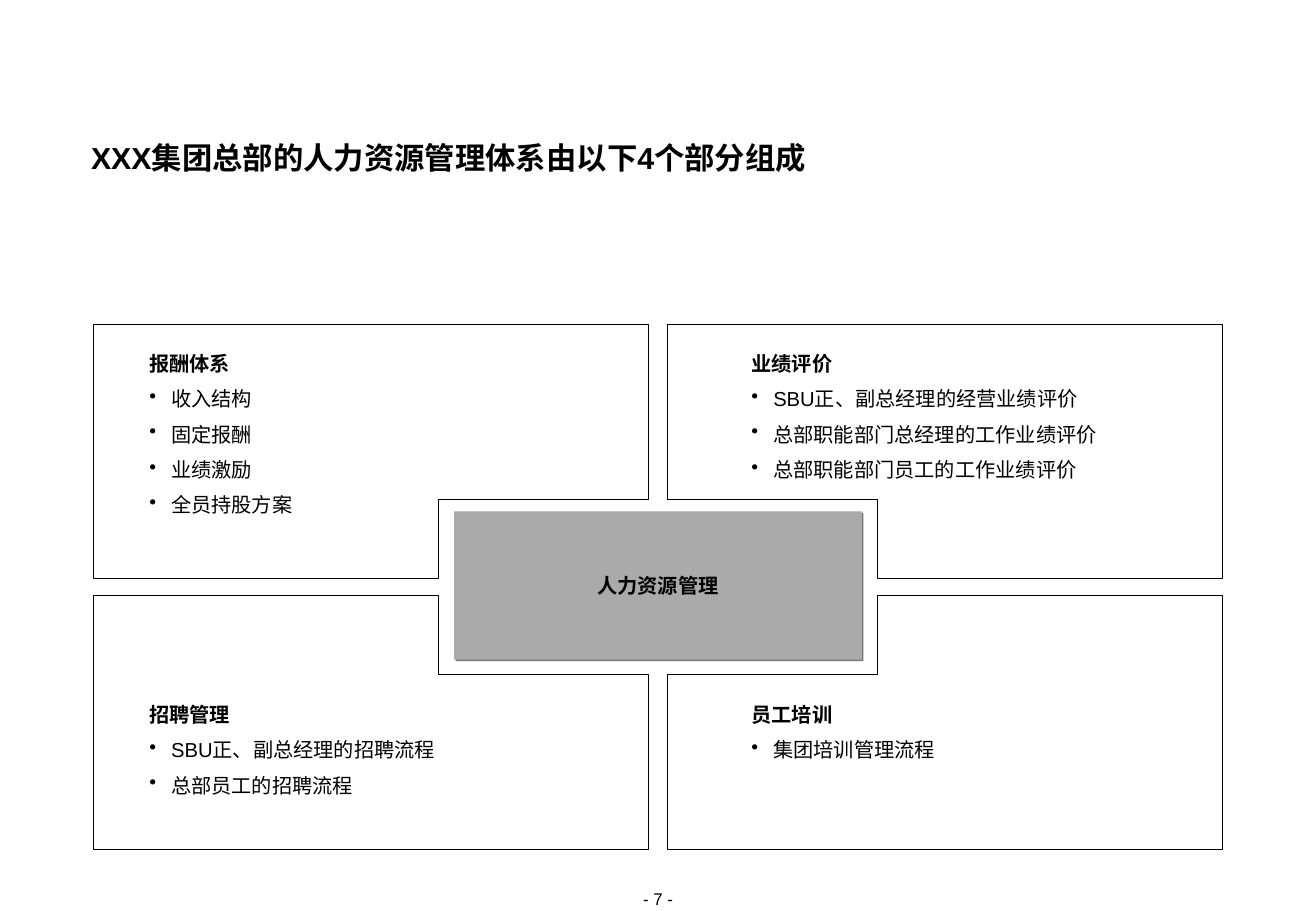
from lxml import etree
from pptx import Presentation
from pptx import util as u
from pptx.dml.color import RGBColor
from pptx.enum import shapes, text
from pptx.oxml.ns import qn

TITLE = "XXX集团总部的人力资源管理体系由以下4个部分组成"
HUB = "人力资源管理"
PAGE_NUMBER = "- 7 -"
# (horizontal side, vertical side, heading, items); -1 is left or top
QUADRANTS = [
    (1, 1, "员工培训", ["集团培训管理流程"]),
    (1, -1, "业绩评价", ["SBU正、副总经理的经营业绩评价",
                     "总部职能部门总经理的工作业绩评价",
                     "总部职能部门员工的工作业绩评价"]),
    (-1, 1, "招聘管理", ["SBU正、副总经理的招聘流程", "总部员工的招聘流程"]),
    (-1, -1, "报酬体系", ["收入结构", "固定报酬", "业绩激励", "全员持股方案"]),
]

BLACK = RGBColor(0x00, 0x00, 0x00)
GREY = RGBColor(0xAA, 0xAA, 0xAA)
SHADOW = RGBColor(0x77, 0x77, 0x77)
FONT = "Arial"

# Inches; the frames mirror each other about the centre of the diagram
WIDTH, HEIGHT = 10.84, 7.5
CENTRE_X, CENTRE_Y = WIDTH / 2, 4.83
GAP_X, NOTCH_X, OUTER_X = 0.08, 1.81, 4.65
GAP_Y, NOTCH_Y, OUTER_Y = 0.07, 0.72, 2.16
HUB_WIDTH, HUB_HEIGHT = 3.36, 1.22
TEXT_LEFT = {-1: 1.23, 1: 6.19}
TEXT_TOP = {-1: 2.87, 1: 5.76}
TEXT_WIDTH, LINE_HEIGHT = 3.7, 0.29
INDENT = 0.18


def style(paragraph, size, bold=False):
    paragraph.font.name = FONT
    paragraph.font.size = u.Pt(size)
    paragraph.font.bold = bold
    paragraph.font.color.rgb = BLACK


def clear_margins(frame):
    frame.word_wrap = True
    frame.margin_left = frame.margin_right = 0
    frame.margin_top = frame.margin_bottom = 0


def add_text(slide, left, top, width, height):
    box = slide.shapes.add_textbox(*map(u.Inches, (left, top, width, height)))
    clear_margins(box.text_frame)
    return box.text_frame


def add_bullet(paragraph):
    properties = paragraph._p.get_or_add_pPr()
    properties.set("marL", str(u.Inches(INDENT)))
    properties.set("indent", str(-u.Inches(INDENT)))
    etree.SubElement(properties, qn("a:buChar"), char="•")


def add_frame(slide, side_x, side_y):
    """Outline one quadrant, leaving a notch for the hub."""
    corners = [(GAP_X, NOTCH_Y), (GAP_X, OUTER_Y), (OUTER_X, OUTER_Y),
               (OUTER_X, GAP_Y), (NOTCH_X, GAP_Y), (NOTCH_X, NOTCH_Y)]
    points = [(u.Inches(CENTRE_X + side_x * x), u.Inches(CENTRE_Y + side_y * y))
              for x, y in corners]
    builder = slide.shapes.build_freeform(*points[0])
    builder.add_line_segments(points[1:], close=True)
    frame = builder.convert_to_shape()
    frame.shadow.inherit = False
    frame.fill.background()
    frame.line.color.rgb = BLACK
    frame.line.width = u.Pt(0.5)


def add_list(slide, side_x, side_y, heading, items):
    lines = [heading] + items
    frame = add_text(slide, TEXT_LEFT[side_x], TEXT_TOP[side_y],
                     TEXT_WIDTH, LINE_HEIGHT * len(lines))
    frame.text = "\n".join(lines)
    for number, paragraph in enumerate(frame.paragraphs):
        paragraph.line_spacing = 1.1
        if number:
            paragraph.space_before = u.Pt(5.2)
            add_bullet(paragraph)
        style(paragraph, 12, bold=number == 0)


def add_hub(slide):
    hub = slide.shapes.add_shape(
        shapes.MSO_SHAPE.RECTANGLE,
        u.Inches(CENTRE_X - HUB_WIDTH / 2), u.Inches(CENTRE_Y - HUB_HEIGHT / 2 - 0.01),
        u.Inches(HUB_WIDTH), u.Inches(HUB_HEIGHT))
    hub.fill.solid()
    hub.fill.fore_color.rgb = GREY
    hub.line.fill.background()
    hub.shadow.inherit = False
    effects = hub._element.spPr.find(qn("a:effectLst"))
    shadow = etree.SubElement(effects, qn("a:outerShdw"), dist=str(u.Pt(1.4)),
                              dir="2700000", algn="ctr", rotWithShape="0")
    etree.SubElement(shadow, qn("a:srgbClr"), val=str(SHADOW))
    frame = hub.text_frame
    clear_margins(frame)
    frame.vertical_anchor = text.MSO_ANCHOR.MIDDLE
    frame.text = HUB
    frame.paragraphs[0].alignment = text.PP_ALIGN.CENTER
    style(frame.paragraphs[0], 12, bold=True)


def main():
    presentation = Presentation()
    presentation.slide_width = u.Inches(WIDTH)
    presentation.slide_height = u.Inches(HEIGHT)
    slide = presentation.slides.add_slide(presentation.slide_layouts[6])

    page = add_text(slide, CENTRE_X - 0.57, 7.32, 1.14, 0.17)
    page.text = PAGE_NUMBER
    page.paragraphs[0].alignment = text.PP_ALIGN.CENTER
    style(page.paragraphs[0], 10)

    title = add_text(slide, 0.75, 1.17, 9.33, 0.28)
    title.text = TITLE
    title.paragraphs[0].line_spacing = u.Pt(20)
    style(title.paragraphs[0], 18, bold=True)

    for side_x, side_y, _, _ in QUADRANTS:
        add_frame(slide, side_x, side_y)
    add_hub(slide)
    for quadrant in QUADRANTS:
        add_list(slide, *quadrant)

    presentation.save("out.pptx")


if __name__ == "__main__":
    main()
